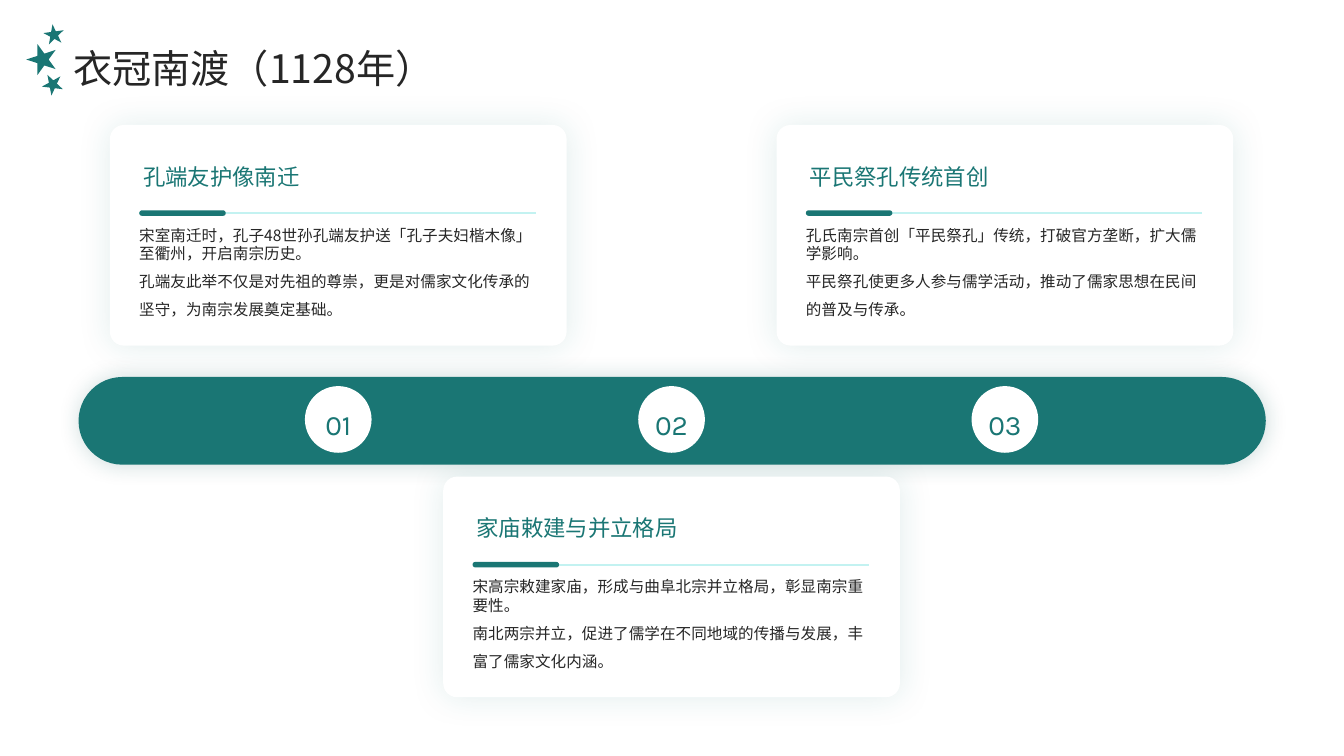
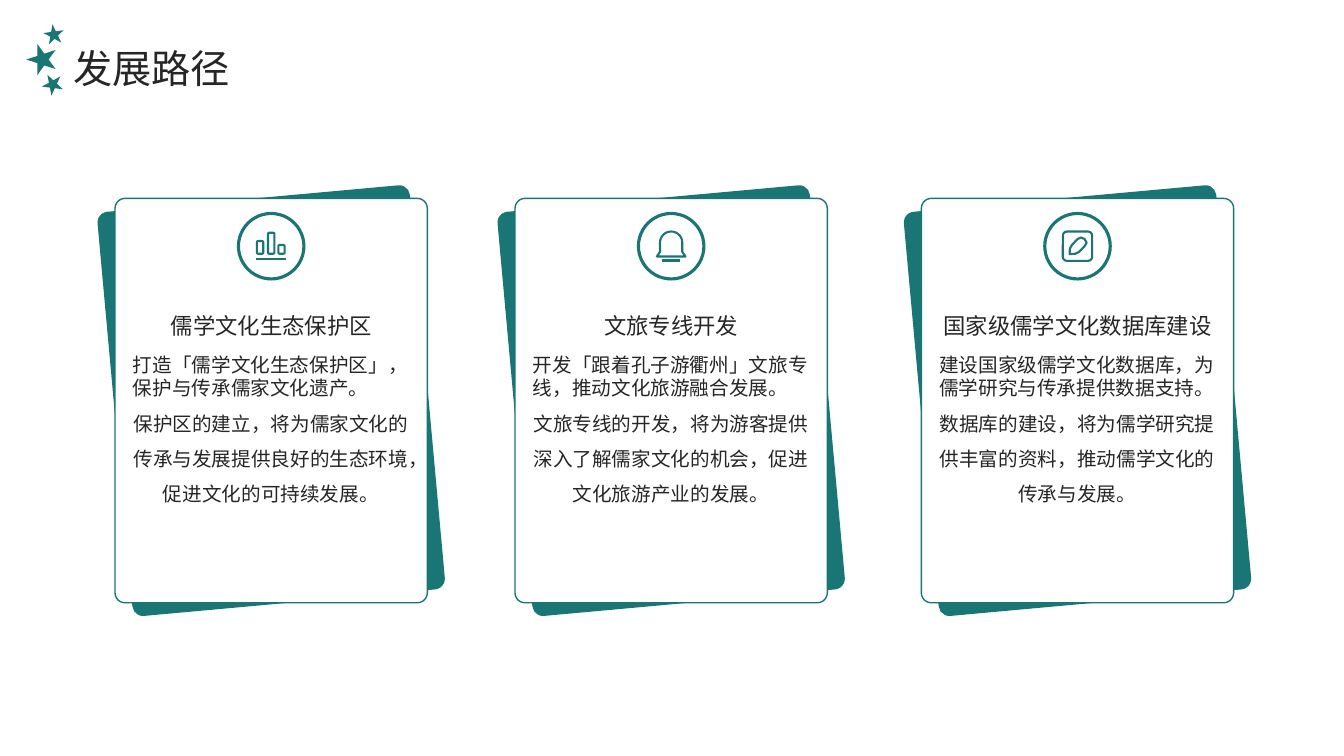
from dataclasses import dataclass
from math import cos, radians, sin

from lxml import etree
from pptx import Presentation
from pptx.dml.color import RGBColor
from pptx.enum.shapes import MSO_CONNECTOR, MSO_SHAPE
from pptx.enum.text import MSO_ANCHOR, MSO_AUTO_SIZE, PP_ALIGN
from pptx.oxml.ns import qn
from pptx.util import Cm, Pt

ROUND, OVAL = MSO_SHAPE.ROUNDED_RECTANGLE, MSO_SHAPE.OVAL
LINE = MSO_CONNECTOR.STRAIGHT
LEFT, CENTER = PP_ALIGN.LEFT, PP_ALIGN.CENTER
TOP, MIDDLE = MSO_ANCHOR.TOP, MSO_ANCHOR.MIDDLE
FIT, FIXED = MSO_AUTO_SIZE.SHAPE_TO_FIT_TEXT, MSO_AUTO_SIZE.NONE


@dataclass(frozen=True)
class Theme:
    teal: str = "1A7674"
    deep: str = "145857"
    pale: str = "C3F2F1"
    ink: str = "262626"
    white: str = "FFFFFF"
    font: str = "Noto Sans CJK SC"
    digit: str = "Karla"
    title: float = 28
    badge: float = 20
    head: float = 16
    body: float = 14
    note: float = 11.1
    stroke: float = 1.5


T = Theme()
WIDE, HIGH = 33.87, 19.05

EVENTS = [
    ("孔端友护像南迁",
     "宋室南迁时，孔子48世孙孔端友护送「孔子夫妇楷木像」至衢州，开启南宗历史。",
     "孔端友此举不仅是对先祖的尊崇，更是对儒家文化传承的坚守，为南宗发展奠定基础。"),
    ("家庙敕建与并立格局",
     "宋高宗敕建家庙，形成与曲阜北宗并立格局，彰显南宗重要性。",
     "南北两宗并立，促进了儒学在不同地域的传播与发展，丰富了儒家文化内涵。"),
    ("平民祭孔传统首创",
     "孔氏南宗首创「平民祭孔」传统，打破官方垄断，扩大儒学影响。",
     "平民祭孔使更多人参与儒学活动，推动了儒家思想在民间的普及与传承。"),
]
PATHS = [
    ("儒学文化生态保护区",
     "打造「儒学文化生态保护区」，保护与传承儒家文化遗产。",
     "保护区的建立，将为儒家文化的传承与发展提供良好的生态环境，促进文化的可持续发展。"),
    ("文旅专线开发",
     "开发「跟着孔子游衢州」文旅专线，推动文化旅游融合发展。",
     "文旅专线的开发，将为游客提供深入了解儒家文化的机会，促进文化旅游产业的发展。"),
    ("国家级儒学文化数据库建设",
     "建设国家级儒学文化数据库，为儒学研究与传承提供数据支持。",
     "数据库的建设，将为儒学研究提供丰富的资料，推动儒学文化的传承与发展。"),
]


# Basic parts
def rgb(code):
    return RGBColor.from_string(code)


def write(shape, text, size=T.body, color=T.ink, font=T.font, align=LEFT,
          space=1.3, anchor=TOP, fit=FIXED, more=False):
    """Write one paragraph; more=True adds it below those already there."""
    frame = shape.text_frame
    frame.word_wrap, frame.auto_size = True, fit
    frame.vertical_anchor = anchor
    frame.margin_left = frame.margin_right = 0
    frame.margin_top = frame.margin_bottom = 0
    para = frame.add_paragraph() if more else frame.paragraphs[0]
    para.alignment, para.line_spacing = align, space
    para.space_before = para.space_after = Pt(0)
    run = para.add_run()
    run.text = text
    run.font.size, run.font.name = Pt(size), font
    run.font.color.rgb = rgb(color)
    etree.SubElement(run.font._element, qn("a:ea"), typeface=font)


def label(slide, x, y, w, h):
    return slide.shapes.add_textbox(Cm(x), Cm(y), Cm(w), Cm(h))


def paint(shape, fill=None, line=None, width=1):
    shape.shadow.inherit = False
    if fill:
        shape.fill.solid()
        shape.fill.fore_color.rgb = rgb(fill)
    else:
        shape.fill.background()
    if line:
        shape.line.color.rgb = rgb(line)
        shape.line.width = Pt(width)
    else:
        shape.line.fill.background()
    return shape


def block(slide, kind, x, y, w, h, adj=None, **look):
    shape = slide.shapes.add_shape(kind, Cm(x), Cm(y), Cm(w), Cm(h))
    if adj is not None:
        shape.adjustments[0] = adj
    return paint(shape, **look)


def glow(shape, color, alpha, blur):
    box = shape._element.spPr.find(qn("a:effectLst"))
    cast = etree.SubElement(box, qn("a:outerShdw"), blurRad=str(Pt(blur)),
                            dist="0", dir="0", algn="ctr", rotWithShape="0")
    tint = etree.SubElement(cast, qn("a:srgbClr"), val=color)
    etree.SubElement(tint, qn("a:alpha"), val=str(alpha * 1000))


def rule(slide, x, y, w, color, width=T.stroke):
    line = slide.shapes.add_connector(LINE, Cm(x), Cm(y), Cm(x + w), Cm(y))
    line.line.color.rgb = rgb(color)
    line.line.width = Pt(width)
    etree.SubElement(line._element.spPr, qn("a:effectLst"))


def outline(slide, loops, **look):
    """Draw closed loops of (x, y) points as one freeform."""
    loops = [[(Cm(x), Cm(y)) for x, y in loop] for loop in loops]
    pen = slide.shapes.build_freeform(*loops[0][0])
    for num, loop in enumerate(loops):
        if num:
            pen.move_to(*loop[0])
        pen.add_line_segments(loop[1:], close=True)
    return paint(pen.convert_to_shape(), **look)


# Title and star mark shared by the slides
def star(x, y, size, turn):
    points = []
    for num in range(10):
        reach = size * (0.38 if num % 2 else 1)
        angle = radians(turn + 36 * num)
        points.append((x + reach * cos(angle), y + reach * sin(angle)))
    return points


def start(deck, text):
    slide = deck.slides.add_slide(deck.slide_layouts[5])
    title = slide.shapes.title
    title.left, title.top = Cm(1.85), Cm(0.76)
    title.width, title.height = Cm(28.83), Cm(1.5)
    write(title, text, size=T.title)
    stars = [star(1.36, 0.88, 0.27, -98), star(1.07, 1.5, 0.41, 180),
             star(1.33, 2.13, 0.28, -119)]
    outline(slide, stars, fill=T.teal)
    return slide


# Timeline slide
def event(slide, x, y, w, h, words):
    head, first, second = words
    glow(block(slide, ROUND, x, y, w, h, 0.063, fill=T.white), T.teal, 13, 24)
    write(label(slide, x + 0.84, y + 0.3, 9.9, 1.78), head, size=T.head,
          color=T.teal, anchor=MIDDLE)
    inset = 0.74
    rule(slide, x + inset, y + 2.22, 9.99, T.pale)
    block(slide, ROUND, x + inset, y + 2.15, 2.18, 0.14, 0.5, fill=T.teal)
    body = label(slide, x + inset, y + 2.54, 10.01, 2.95)
    write(body, first, size=T.note, space=1.0)
    write(body, second, size=T.note, space=1.5, more=True)


def timeline(deck):
    slide = start(deck, "衣冠南渡（1128年）")
    band = block(slide, ROUND, 1.98, 9.5, 29.92, 2.21, 0.5, fill=T.teal)
    glow(band, T.deep, 20, 15)
    wide, high, dot = 11.51, 5.56, 1.68
    for num, words in enumerate(EVENTS):
        x = 2.77 + 8.4 * num
        event(slide, x, 12.01 if num % 2 else 3.15, wide, high, words)
        badge = block(slide, OVAL, x + (wide - dot) / 2, 9.73, dot, dot,
                      fill=T.white)
        write(badge, f"{num + 1:02}", size=T.badge, color=T.teal,
              font=T.digit, align=CENTER, anchor=MIDDLE)


# Icons, each placed around its centre
def chart(slide, x, y):
    foot = 0.19
    for left, tall in ((-0.36, 0.32), (-0.08, 0.53), (0.18, 0.22)):
        block(slide, ROUND, x + left, y + foot - tall, 0.16, tall, 0.2,
              line=T.teal, width=T.stroke)
    rule(slide, x - 0.38, y + 0.32, 0.76, T.teal)


def bell(slide, x, y):
    dome = [(x + 0.28 * cos(radians(a)), y - 0.09 + 0.28 * sin(radians(a)))
            for a in range(180, 361, 10)]
    side = [(x + 0.28, y + 0.14), (x + 0.36, y + 0.26),
            (x - 0.36, y + 0.26), (x - 0.28, y + 0.14)]
    outline(slide, [dome + side], line=T.teal, width=T.stroke)
    rule(slide, x - 0.22, y + 0.36, 0.44, T.teal)


def pen(slide, x, y):
    block(slide, ROUND, x - 0.37, y - 0.37, 0.74, 0.74, 0.14,
          line=T.teal, width=T.stroke)
    leaf = [(-0.2, 0.2), (-0.19, 0.06), (-0.14, -0.03), (0, -0.18),
            (0.09, -0.22), (0.18, -0.18), (0.23, -0.09), (0.18, 0),
            (0.03, 0.15), (-0.06, 0.19)]
    outline(slide, [[(x + dx, y + dy) for dx, dy in leaf]],
            line=T.teal, width=T.stroke)


# Paths slide
def card(slide, x, y, w, h, words, icon):
    head, first, second = words
    for fill, turn in ((T.teal, 354.8), (T.white, 0)):
        sheet = block(slide, ROUND, x, y, w, h, 0.032, fill=fill, line=T.teal)
        sheet.rotation = turn
    ring, drop = 1.65, 0.38
    block(slide, OVAL, x + (w - ring) / 2, y + drop, ring, ring,
          fill=T.white, line=T.teal, width=2.25)
    icon(slide, x + w / 2, y + drop + ring / 2)
    write(label(slide, x + 0.45, y + 2.74, 6.98, 0.74), head, size=T.head,
          align=CENTER, anchor=MIDDLE, fit=FIT)
    body = label(slide, x + 0.45, y + 3.89, 6.96, 5.84)
    write(body, first, space=1.0)
    write(body, second, align=CENTER, space=1.5, more=True)


def paths(deck):
    slide = start(deck, "发展路径")
    for x, words, icon in zip((2.9, 12.98, 23.22), PATHS, (chart, bell, pen)):
        card(slide, x, 5.0, 7.87, 10.19, words, icon)


def main():
    deck = Presentation()
    deck.slide_width, deck.slide_height = Cm(WIDE), Cm(HIGH)
    timeline(deck)
    paths(deck)
    deck.save("out.pptx")


if __name__ == "__main__":
    main()
